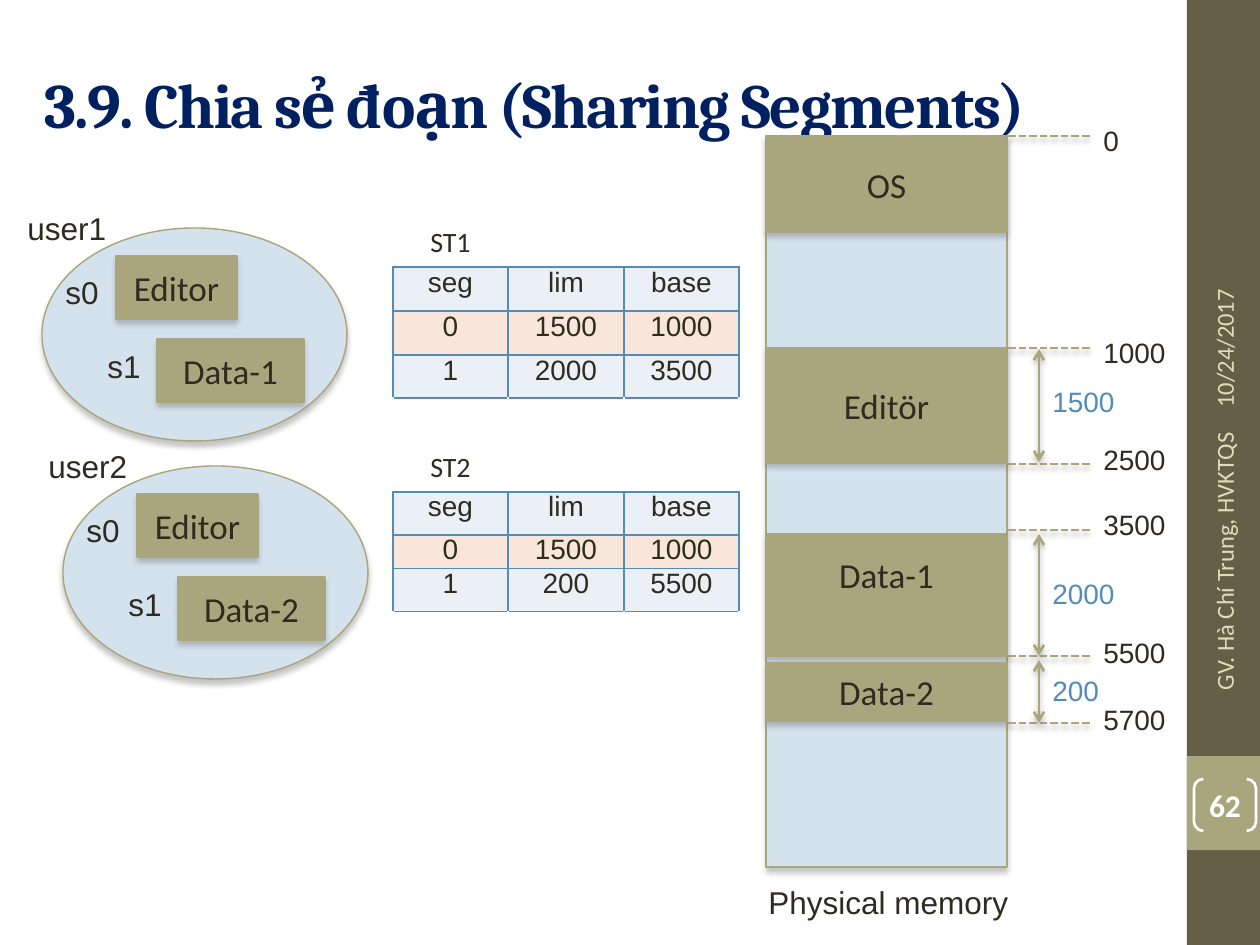
from lxml import etree
from pptx import Presentation
from pptx.dml.color import RGBColor
from pptx.enum.dml import MSO_LINE
from pptx.enum.shapes import MSO_CONNECTOR, MSO_SHAPE
from pptx.enum.text import MSO_ANCHOR, PP_ALIGN
from pptx.oxml.ns import qn
from pptx.util import Pt

RECT, OVAL, BRACKET = MSO_SHAPE.RECTANGLE, MSO_SHAPE.OVAL, MSO_SHAPE.DOUBLE_BRACKET
LEFT, MID, RIGHT = PP_ALIGN.LEFT, PP_ALIGN.CENTER, PP_ALIGN.RIGHT
TOP, CENTER = MSO_ANCHOR.TOP, MSO_ANCHOR.MIDDLE
STRAIGHT, DASH = MSO_CONNECTOR.STRAIGHT, MSO_LINE.SQUARE_DOT

INK, OLIVE, BROWN, SKY = "2F2B20", "A9A57C", "675E47", "D4E2ED"
BLUE, NAVY, SAND, WHITE = "558BB8", "002060", "DFDCB7", "FFFFFF"
ICE, PEACH = "EAF0F6", "F8E6DA"


def px(n):
    return round(n * 914400 / 126)


def rgb(code):
    return RGBColor.from_string(code)


def sub(node, tag, **attrs):
    return etree.SubElement(node, qn(tag), attrs)


def shade(effects):
    """Add a soft shadow below to an effect list."""
    drop = sub(effects, "a:outerShdw", blurRad=str(Pt(3)), dist=str(Pt(2.4)),
               dir="5400000", rotWithShape="0")
    sub(sub(drop, "a:srgbClr", val="808080"), "a:alpha", val="45000")


def write(frame, text, size, face="Arial", color=INK, align=LEFT, bold=False):
    para = frame.paragraphs[0]
    para.text = text
    para.alignment = align
    font = para.font
    font.size, font.name, font.bold = Pt(size), face, bold
    font.color.rgb = rgb(color)


def label(shapes, x, y, w, h, text, size, anchor=TOP, turn=0, **look):
    box = shapes.add_textbox(px(x), px(y), px(w), px(h))
    box.rotation = turn
    frame = box.text_frame
    frame.word_wrap = True
    frame.vertical_anchor = anchor
    write(frame, text, size, **look)
    return frame


def block(shapes, kind, x, y, w, h, fill, line=None, drop=True):
    shape = shapes.add_shape(kind, px(x), px(y), px(w), px(h))
    shape.shadow.inherit = False
    if fill:
        shape.fill.solid()
        shape.fill.fore_color.rgb = rgb(fill)
    else:
        shape.fill.background()
    if line:
        shape.line.color.rgb = rgb(line)
        shape.line.width = Pt(0.79)
    else:
        shape.line.fill.background()
    if drop:
        shade(shape._element.spPr.find(qn("a:effectLst")))
    return shape


def part(shapes, x, y, w, h, text):
    """Draw a named segment."""
    frame = block(shapes, RECT, x, y, w, h, OLIVE, OLIVE).text_frame
    frame.vertical_anchor = CENTER
    write(frame, text, 20, "Calibri", align=MID)
    return frame


def rule(shapes, x1, y1, x2, y2, arrow=False):
    """Draw a dashed line, or a solid one with two arrowheads."""
    wire = shapes.add_connector(STRAIGHT, px(x1), px(y1), px(x2), px(y2))
    wire.line.color.rgb = rgb(OLIVE)
    wire.line.width = Pt(1.5)
    if arrow:
        for end in ("a:headEnd", "a:tailEnd"):
            sub(wire.line._get_or_add_ln(), end, type="arrow")
    else:
        wire.line.dash_style = DASH
    shade(sub(wire._element.spPr, "a:effectLst"))


def side(shapes, x, y, w, h):
    """Draw the side bar with date, author and page number."""
    block(shapes, RECT, x, y, w, h, BROWN, drop=False)
    block(shapes, RECT, x, y + 756, w, 94, OLIVE, drop=False)
    look = {"face": "Calibri", "color": SAND, "anchor": CENTER, "turn": 270}
    label(shapes, x - 131, y + 227, 336, 50, "10/24/2017", 14, **look)
    label(shapes, x - 126, y + 558, 326, 50, "GV. Hà Chí Trung, HVKTQS", 14,
          align=RIGHT, **look)
    page = block(shapes, BRACKET, x + 7, y + 779, 62, 52, None, WHITE, False)
    page.adjustments[0] = 0.18
    page.line.width = Pt(1.5)
    frame = page.text_frame
    frame.margin_left = frame.margin_right = 0
    frame.margin_top = frame.margin_bottom = 0
    frame.vertical_anchor = CENTER
    write(frame, "62", 18, "Calibri", WHITE, MID, True)


def edge(cell, name, color):
    line = sub(cell._tc.get_or_add_tcPr(), name, w=str(Pt(1)))
    sub(sub(line, "a:solidFill"), "a:srgbClr", val=color)


def tables(shapes, x, y, w, h):
    """Place both segment tables in one grid, with white rows between."""
    head, gap = ("seg", "lim", "base"), ("", "", "")
    rows = [("ST1", "", ""), head, ("0", "1500", "1000"), ("1", "2000", "3500"), gap,
            ("ST2", "", ""), head, ("0", "1500", "1000"), ("1", "200", "5500"), gap]
    highs = (47, 44, 44, 43, 47, 47, 43, 32, 43, 46)
    grid = shapes.add_table(len(rows), 3, px(x), px(y), px(w), px(h)).table
    grid.first_row = grid.horz_banding = False
    for col, wide in zip(grid.columns, (115, 116, 115)):
        col.width = px(wide)
    full = [bool(row[1]) for row in rows]
    for r, row in enumerate(rows):
        grid.rows[r].height = px(highs[r])
        above = full[r] or (r > 0 and full[r - 1])
        below = full[r] or (r + 1 < len(rows) and full[r + 1])
        for c, text in enumerate(row):
            cell = grid.cell(r, c)
            if full[r] or not text:
                cell.margin_left = cell.margin_right = px(9)
                cell.margin_top = cell.margin_bottom = 0
            if text:
                write(cell.text_frame, text, 16, "Arial" if full[r] else "Calibri",
                      align=MID)
            for name, dark in (("a:lnL", full[r]), ("a:lnR", full[r]),
                               ("a:lnT", above), ("a:lnB", below)):
                edge(cell, name, BLUE if dark else WHITE)
            cell.fill.solid()
            tint = PEACH if row[0] == "0" else ICE
            cell.fill.fore_color.rgb = rgb(tint if full[r] else WHITE)


def user(shapes, x, y, name, data):
    """Draw one user's address space."""
    group = shapes.add_group_shape().shapes
    block(group, OVAL, x + 27, y + 25, 305, 213, SKY, OLIVE)
    part(group, x + 101, y + 53, 121, 63, "Editor")
    part(group, x + 142, y + 136, 147, 63, data)
    label(group, x, y, 220, 50, name, 18)
    label(group, x + 38, y + 64, 73, 50, "s0", 18)
    label(group, x + 80, y + 138, 73, 50, "s1", 18)


def memory(shapes, x, y, w, h):
    group = shapes.add_group_shape().shapes
    block(group, RECT, x, y, w, h, SKY, OLIVE)
    for top, high, name in ((0, 96, "OS"), (212, 115, "Editör"),
                            (398, 122, "Data-1"), (527, 58, "Data-2")):
        frame = part(group, x, y + top, w, high, name)
        if name == "Data-1":
            frame.margin_bottom = px(48)
    label(group, x - 10, y + h + 10, 282, 47, "Physical memory", 18)
    for at, top, text in ((0, -19, "0"), (212, 193, "1000"), (328, 300, "2500"),
                          (394, 365, "3500"), (520, 493, "5500"), (587, 560, "5700")):
        rule(group, x + w + 1, y + at, x + w + 85, y + at)
        label(group, x + w + 84, y + top, 116, 43, text, 16)
    for top, end, at, text in ((213, 326, 242, "1500"), (398, 520, 434, "2000"),
                               (524, 587, 531, "200")):
        rule(group, x + w + 32, y + top, x + w + 32, y + end, True)
        label(group, x + w + 33, y + at, 116, 43, text, 16, color=BLUE)


def main():
    deck = Presentation()
    deck.slide_width, deck.slide_height = px(1260), px(945)
    shapes = deck.slides.add_slide(deck.slide_layouts[6]).shapes
    side(shapes, 1187, 0, 73, 945)
    title = label(shapes, 32, 38, 1124, 130, "3.9. Chia sẻ đoạn (Sharing Segments)",
                  36, CENTER, face="Cambria", color=NAVY, bold=True)
    title.paragraphs[0].runs[0]._r.get_or_add_rPr().set("spc", "-100")
    tables(shapes, 393, 220, 346, 436)
    user(shapes, 15, 203, "user1", "Data-1")
    user(shapes, 36, 441, "user2", "Data-2")
    memory(shapes, 766, 136, 241, 731)
    deck.save("out.pptx")


if __name__ == "__main__":
    main()
